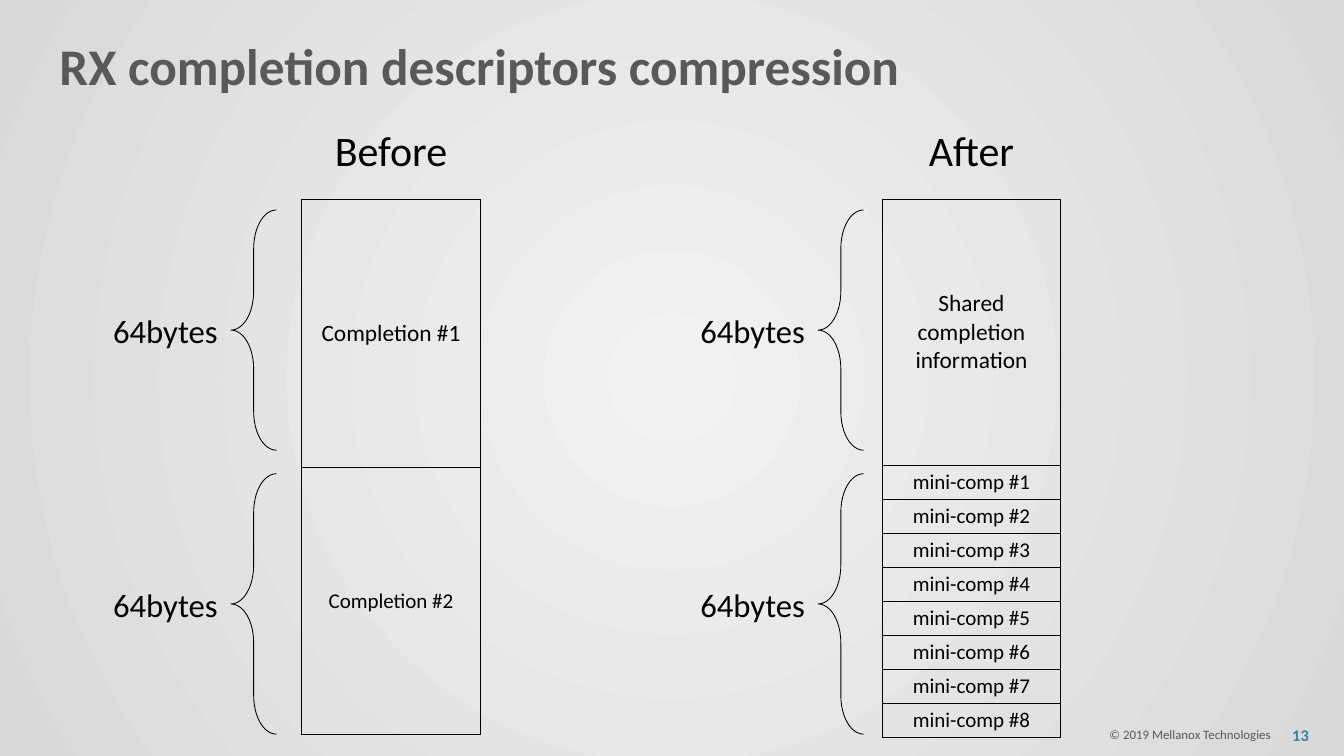
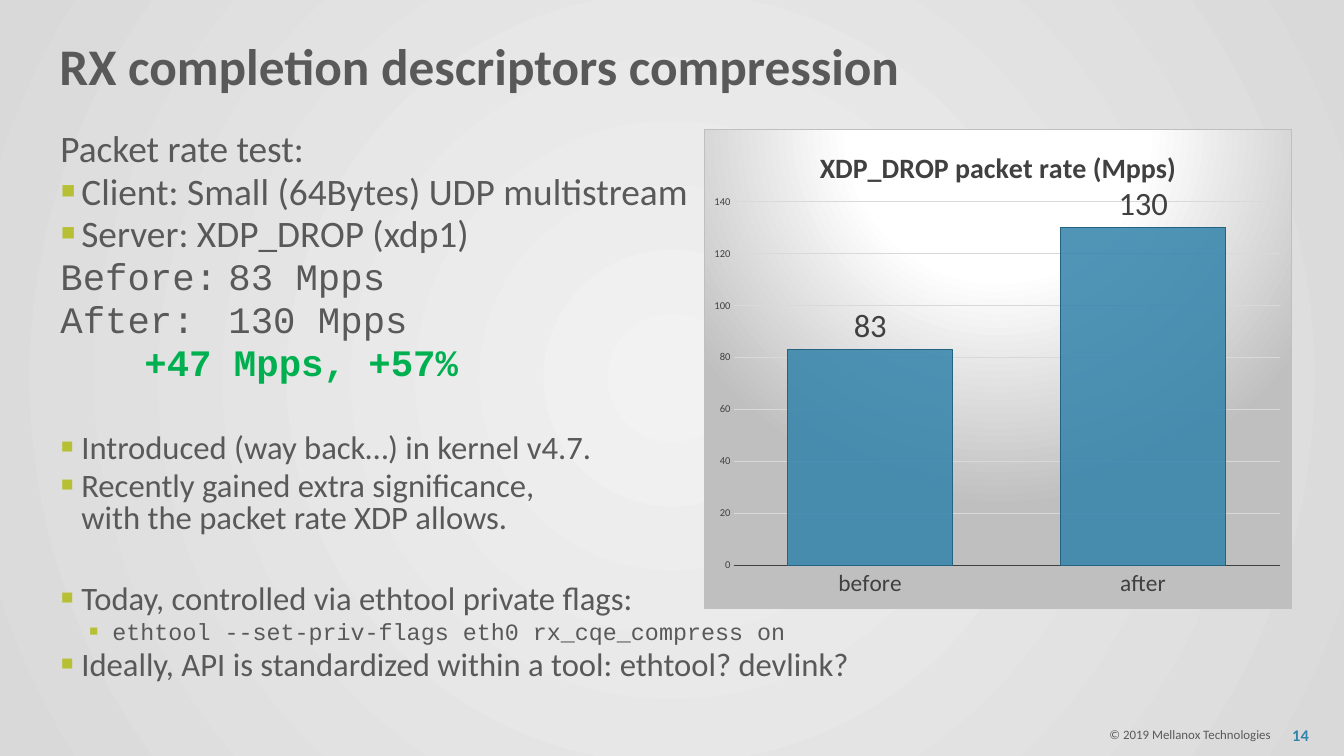
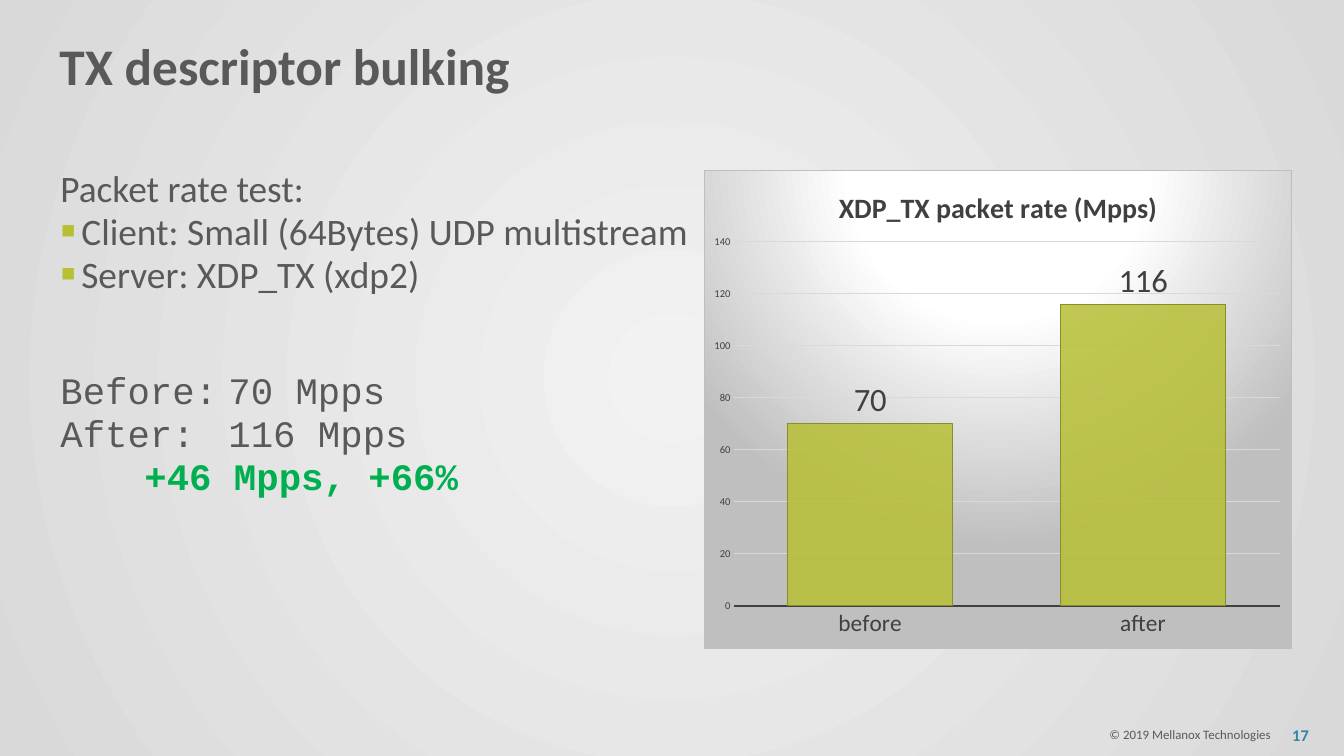
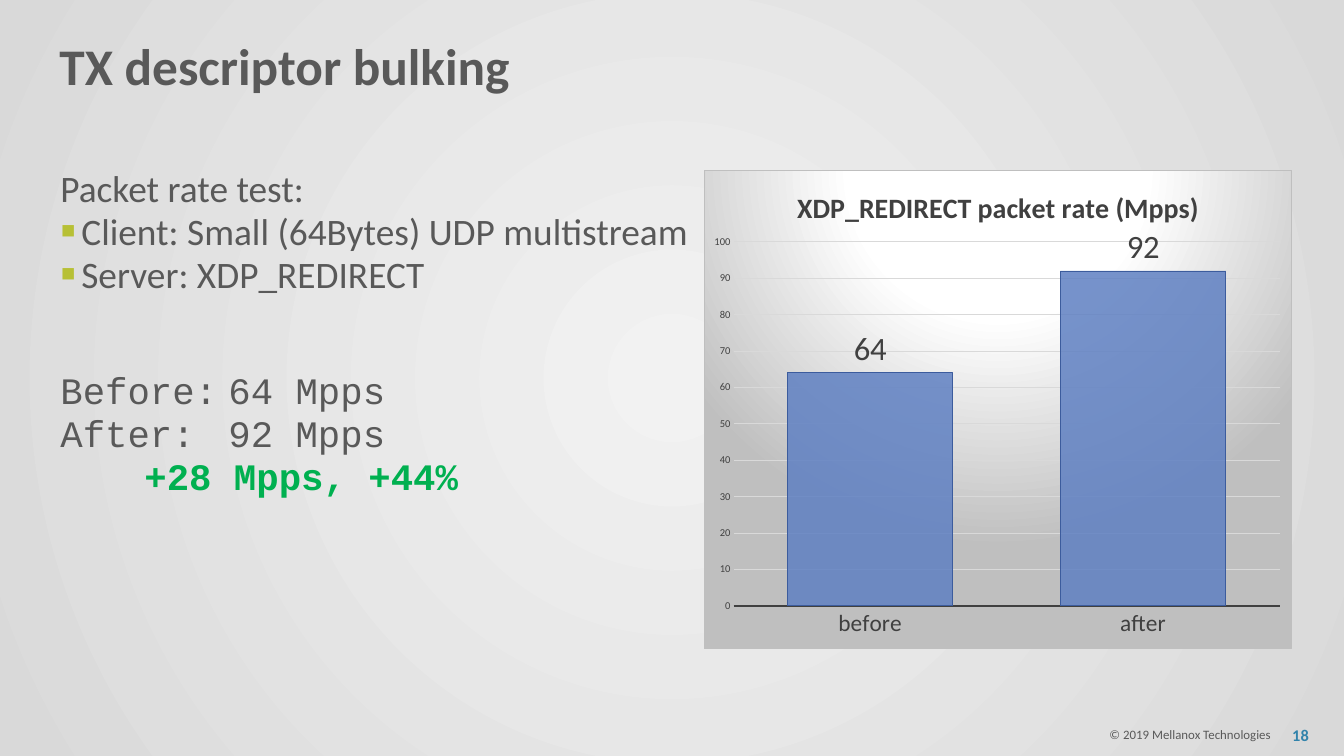
from lxml import etree
from pptx import Presentation
from pptx.chart.data import CategoryChartData
from pptx.dml.color import RGBColor
from pptx.enum.chart import XL_CHART_TYPE, XL_LABEL_POSITION, XL_TICK_MARK
from pptx.enum.shapes import MSO_SHAPE
from pptx.enum.text import MSO_ANCHOR, PP_ALIGN
from pptx.oxml import parse_xml
from pptx.oxml.ns import nsdecls, qn
from pptx.util import Pt

COLUMNS = XL_CHART_TYPE.COLUMN_CLUSTERED
LABEL_ABOVE = XL_LABEL_POSITION.OUTSIDE_END
NO_TICK = XL_TICK_MARK.NONE
BRACE = MSO_SHAPE.LEFT_BRACE
TOP, MIDDLE = MSO_ANCHOR.TOP, MSO_ANCHOR.MIDDLE
LEFT, CENTER, RIGHT = PP_ALIGN.LEFT, PP_ALIGN.CENTER, PP_ALIGN.RIGHT

BLACK = RGBColor(0x00, 0x00, 0x00)
GRAY = RGBColor(0x59, 0x59, 0x59)
CHART_TEXT = RGBColor(0x40, 0x40, 0x40)
CHART_BORDER = RGBColor(0xBF, 0xBF, 0xBF)
GRID = RGBColor(0xD9, 0xD9, 0xD9)
GREEN = RGBColor(0x00, 0xB0, 0x50)
LIME = RGBColor(0xB7, 0xC0, 0x35)
NUMBER_BLUE = RGBColor(0x31, 0x83, 0xAB)
TEAL_BAR = RGBColor(0x32, 0x82, 0xAA)
TEAL_EDGE = RGBColor(0x25, 0x62, 0x7F)
LIME_BAR = RGBColor(0xB7, 0xBF, 0x35)
LIME_EDGE = RGBColor(0x89, 0x8F, 0x28)
BLUE_BAR = RGBColor(0x5F, 0x80, 0xC2)
BLUE_EDGE = RGBColor(0x3C, 0x5C, 0x9D)

SANS, MONO = "Calibri", "Courier New"


def style(paragraph, size, color=BLACK, bold=False, align=LEFT, name=SANS):
    paragraph.alignment = align
    font = paragraph.font
    font.name, font.size, font.bold = name, Pt(size), bold
    font.color.rgb = color


def add_text(page, frame, text, size, color=BLACK, bold=False, align=LEFT,
             anchor=TOP, inset=(7.2, 3.6), wrap=True):
    box = page.shapes.add_textbox(*map(Pt, frame))
    text_frame = box.text_frame
    text_frame.word_wrap = wrap
    text_frame.vertical_anchor = anchor
    text_frame.margin_left = text_frame.margin_right = Pt(inset[0])
    text_frame.margin_top = text_frame.margin_bottom = Pt(inset[1])
    paragraph = text_frame.paragraphs[0]
    paragraph.text = text
    style(paragraph, size, color, bold, align)
    return text_frame


deck = Presentation()
deck.slide_width, deck.slide_height = Pt(1152), Pt(648)
master = deck.slide_master
master.background.fill.solid()
backdrop = master.element.find(".//" + qn("p:bgPr"))
backdrop.replace(backdrop[0], parse_xml(
    f'<a:gradFill {nsdecls("a")} rotWithShape="1"><a:gsLst>'
    '<a:gs pos="0"><a:srgbClr val="F2F2F2"><a:alpha val="70000"/></a:srgbClr></a:gs>'
    '<a:gs pos="100000"><a:srgbClr val="D9D9D9"><a:alpha val="66000"/></a:srgbClr></a:gs>'
    '</a:gsLst><a:path path="circle">'
    '<a:fillToRect l="50000" t="50000" r="50000" b="50000"/></a:path></a:gradFill>'))

pages = []
for number, title in [
    (13, "RX completion descriptors compression"),
    (14, "RX completion descriptors compression"),
    (17, "TX descriptor bulking"),
    (18, "TX descriptor bulking"),
]:
    page = deck.slides.add_slide(deck.slide_layouts[6])
    add_text(page, (943.92, 619.2, 156.24, 20.88), "© 2019 Mellanox Technologies",
             11, GRAY, wrap=False)
    add_text(page, (1090.08, 616.32, 41.76, 27.36), str(number), 14, NUMBER_BLUE,
             bold=True, align=RIGHT, anchor=MIDDLE, inset=(10, 5))
    heading = add_text(page, (43.92, 38.88, 937.44, 51.84), title, 44, GRAY, bold=True)
    heading.paragraphs[0].line_spacing = Pt(40)
    pages.append(page)

STACK_TOP, STACK_WIDTH = 170.64, 153.36
before_rows = [("Completion #1", 20, 230.4), ("Completion #2", 18, 228.24)]
after_rows = [("Shared completion information", 20, 228.24)]
after_rows += [(f"mini-comp #{index}", 18, 29.16) for index in range(1, 9)]
layout_page = pages[0]
for heading, stack_left, brace_left, rows in [
    ("Before", 258.48, 198, before_rows),
    ("After", 756, 701.28, after_rows),
]:
    add_text(layout_page, (stack_left, 106.56, STACK_WIDTH, 43.92), heading, 36,
             align=CENTER, anchor=MIDDLE, inset=(0, 0))
    table = layout_page.shapes.add_table(
        len(rows), 1, Pt(stack_left), Pt(STACK_TOP), Pt(STACK_WIDTH),
        Pt(sum(row[2] for row in rows))).table
    table.first_row = table.horz_banding = False
    for index, (label, size, height) in enumerate(rows):
        table.rows[index].height = Pt(height)
        cell = table.cell(index, 0)
        cell.text = label
        cell.vertical_anchor = MIDDLE
        style(cell.text_frame.paragraphs[0], size, align=CENTER)
        cell.fill.background()
        properties = cell._tc.get_or_add_tcPr()
        for position, side in enumerate(("lnL", "lnR", "lnT", "lnB")):
            properties.insert(position, parse_xml(
                f'<a:{side} {nsdecls("a")} w="{Pt(1)}"><a:solidFill>'
                f'<a:srgbClr val="{BLACK}"/></a:solidFill></a:{side}>'))
    for top, height, label_top, label_height in [
        (180, 205.92, 267.84, 30.96),
        (406.08, 223.2, 501.12, 33.84),
    ]:
        brace = layout_page.shapes.add_shape(
            BRACE, Pt(brace_left), Pt(top), Pt(38.88), Pt(height))
        brace.shadow.inherit = False
        brace.adjustments[0], brace.adjustments[1] = 0.85, 0.5
        brace.fill.background()
        brace.line.color.rgb = BLACK
        brace.line.width = Pt(0.75)
        add_text(layout_page, (brace_left - 101.52, label_top, 90.72, label_height),
                 "64bytes", 28, align=CENTER, anchor=MIDDLE, inset=(0, 0))

LEVELS = {
    "plain": (0, 0, 32, SANS, GRAY),
    "bullet": (18, -19.44, 32, SANS, GRAY),
    "note": (18, -19.44, 28, SANS, GRAY),
    "command": (44.64, -20.16, 20, MONO, GRAY),
    "result": (0, 0, 32, MONO, GRAY),
    "gain": (72, 0, 32, MONO, GREEN),
}
RESULT_TAB = 326.4
closing_notes = [
    ("note", 43.25, "Introduced (way back…) in kernel v4.7."),
    ("note", 6, "Recently gained extra significance,\vwith the packet rate XDP allows."),
    ("note", 43.25, "Today, controlled via ethtool private flags:"),
    ("command", 4.3, "ethtool --set-priv-flags eth0 rx_cqe_compress on"),
    ("note", 6, "Ideally, API is standardized within a tool: ethtool? devlink?"),
]
for page, top, action, server, values, gain, gap, axis, colors, notes in [
    (pages[1], 110.88, "XDP_DROP", "XDP_DROP (xdp1)", (83, 130), "+47 Mpps, +57%",
     6, (140, 20), (TEAL_BAR, TEAL_EDGE), closing_notes),
    (pages[2], 145.44, "XDP_TX", "XDP_TX (xdp2)", (70, 116), "+46 Mpps, +66%",
     69.3, (140, 20), (LIME_BAR, LIME_EDGE), []),
    (pages[3], 145.44, "XDP_REDIRECT", "XDP_REDIRECT", (64, 92), "+28 Mpps, +44%",
     69.3, (100, 10), (BLUE_BAR, BLUE_EDGE), []),
]:
    lines = [
        ("plain", 0, "Packet rate test:"),
        ("bullet", 6, "Client: Small (64Bytes) UDP multistream"),
        ("bullet", 6, f"Server: {server}"),
        ("result", gap, f"Before:\t{values[0]} Mpps"),
        ("result", 6, f"After:\t{values[1]} Mpps"),
        ("gain", 6, gain),
    ] + notes
    body = add_text(page, (44.64, top, 1057.68, 601.2 - top), "", 32)
    for index, (level, space, text) in enumerate(lines):
        margin, indent, size, name, color = LEVELS[level]
        paragraph = body.add_paragraph() if index else body.paragraphs[0]
        paragraph.text = text
        paragraph.line_spacing = 0.8
        paragraph.space_before = Pt(space)
        properties = paragraph._p.get_or_add_pPr()
        properties.set("marL", str(Pt(margin)))
        properties.set("indent", str(Pt(indent)))
        for old in properties.findall(qn("a:defRPr")):
            properties.remove(old)
        if indent:
            etree.SubElement(etree.SubElement(properties, qn("a:buClr")),
                             qn("a:srgbClr"), val=str(LIME))
            etree.SubElement(properties, qn("a:buSzPct"), val="120000")
            etree.SubElement(properties, qn("a:buFont"), typeface=SANS)
            etree.SubElement(properties, qn("a:buChar"), char="▪")
        if level == "result":
            etree.SubElement(etree.SubElement(properties, qn("a:tabLst")),
                             qn("a:tab"), pos=str(Pt(RESULT_TAB)), algn="r")
        style(paragraph, size, color, bold=level == "gain", name=name)

    data = CategoryChartData()
    data.categories = ["before", "after"]
    data.add_series("Series 1", values)
    chart = page.shapes.add_chart(
        COLUMNS, Pt(603.36), Pt(top), Pt(504), Pt(411.12), data).chart
    chart.has_legend = False
    chart.font.name, chart.font.size = SANS, Pt(10)
    chart.font.color.rgb = BLACK
    chart.has_title = True
    title = chart.chart_title.text_frame.paragraphs[0]
    title.text = f"{action} packet rate (Mpps)"
    style(title, 24, CHART_TEXT, bold=True, align=CENTER)

    plot = chart.plots[0]
    plot.gap_width = 65
    plot.vary_by_categories = False
    plot.has_data_labels = True
    labels = plot.data_labels
    labels.show_value = True
    labels.position = LABEL_ABOVE
    series_format = plot.series[0].format
    series_format.fill.solid()
    series_format.fill.fore_color.rgb = colors[0]
    series_format.line.color.rgb = colors[1]
    series_format.line.width = Pt(0.75)

    categories, scale = chart.category_axis, chart.value_axis
    for axis_font, size in [(labels.font, 28), (categories.tick_labels.font, 20),
                            (scale.tick_labels.font, 9)]:
        axis_font.name, axis_font.size = SANS, Pt(size)
        axis_font.color.rgb = CHART_TEXT
    for chart_axis in (categories, scale):
        chart_axis.major_tick_mark = chart_axis.minor_tick_mark = NO_TICK
    categories.format.line.color.rgb = CHART_TEXT
    categories.format.line.width = Pt(1.5)
    scale.format.line.fill.background()
    scale.minimum_scale = 0
    scale.maximum_scale, scale.major_unit = axis
    scale.major_gridlines.format.line.color.rgb = GRID
    scale.major_gridlines.format.line.width = Pt(0.75)

    space = chart.element
    bar_color = space.find(".//" + "/".join(
        map(qn, ("c:ser", "c:spPr", "a:solidFill", "a:srgbClr"))))
    etree.SubElement(bar_color, qn("a:alpha"), val="85000")
    space.find(qn("c:txPr")).addprevious(parse_xml(
        f'<c:spPr {nsdecls("c", "a")}><a:gradFill><a:gsLst>'
        '<a:gs pos="0"><a:srgbClr val="FFFFFF"/></a:gs>'
        '<a:gs pos="39000"><a:srgbClr val="FFFFFF"/></a:gs>'
        '<a:gs pos="100000"><a:srgbClr val="BFBFBF"/></a:gs></a:gsLst>'
        '<a:path path="circle"><a:fillToRect l="50000" t="-80000" r="50000" b="180000"/>'
        f'</a:path></a:gradFill><a:ln w="{Pt(0.75)}"><a:solidFill>'
        f'<a:srgbClr val="{CHART_BORDER}"/></a:solidFill></a:ln></c:spPr>'))
    plot_area = space.find(".//" + qn("c:plotArea"))
    for old in plot_area.findall(qn("c:layout")):
        plot_area.remove(old)
    plot_area.insert(0, parse_xml(
        f'<c:layout {nsdecls("c")}><c:manualLayout><c:layoutTarget val="inner"/>'
        '<c:xMode val="edge"/><c:yMode val="edge"/><c:x val="0.05"/><c:y val="0.15"/>'
        '<c:w val="0.93"/><c:h val="0.76"/></c:manualLayout></c:layout>'))

deck.save("out.pptx")
